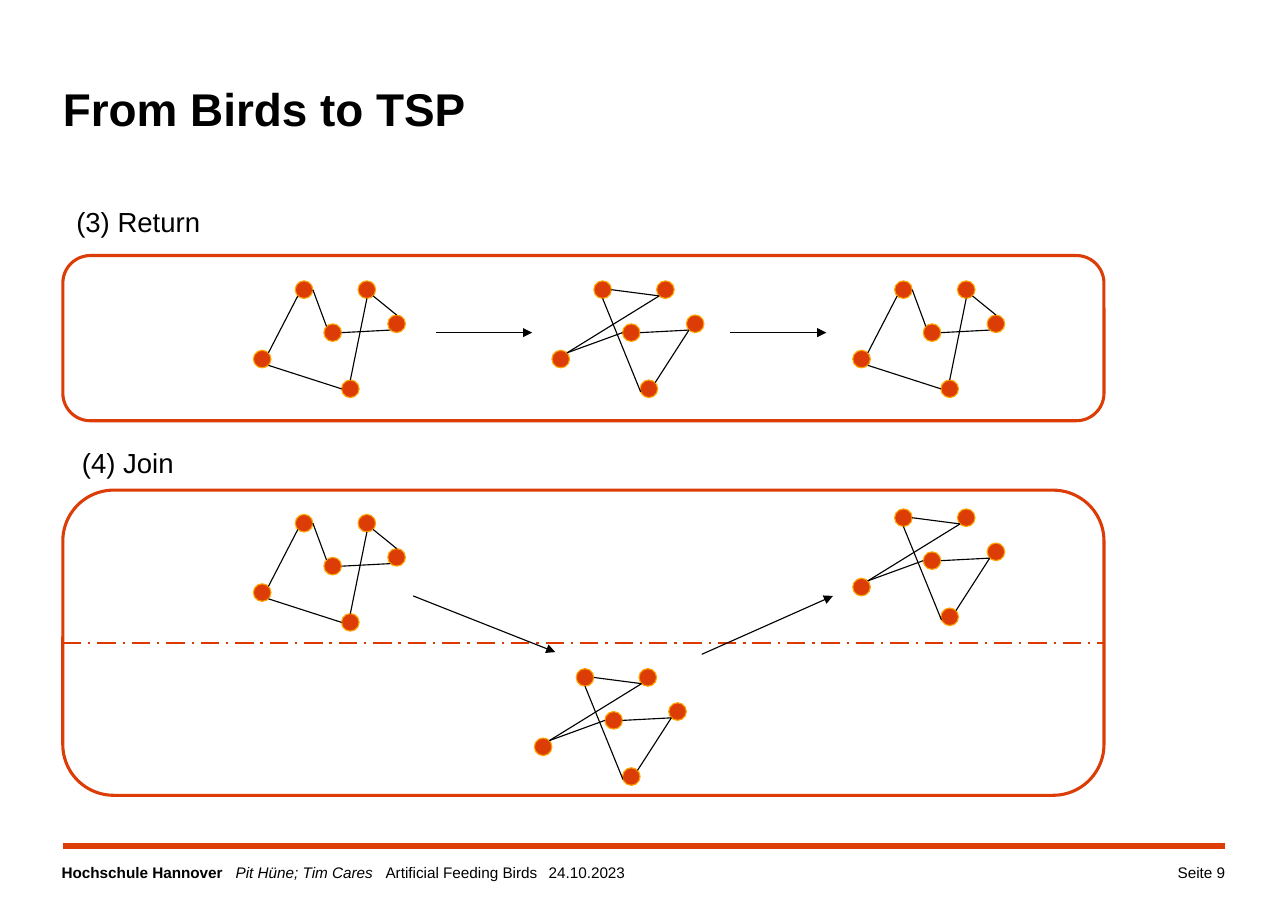
import math

import pptx
import pptx.dml.color
import pptx.enum.dml
import pptx.enum.shapes
import pptx.enum.text
import pptx.oxml
import pptx.oxml.ns
import pptx.util

SHAPES = pptx.enum.shapes.MSO_SHAPE
ALIGN = pptx.enum.text.PP_ALIGN
COLORS = {"text": "000000", "paper": "FFFFFF", "accent": "DC3C05",
          "divider": "DC3800", "city_rim": "FFA500"}
FONT = "Arial"

# The grid has ten columns and ten rows to the inch.
COLS, ROWS = 116.9, 82.7
LEFT, BOX_W, CONTENT_W = 5.7, 94.5, 105.5
CITY = 1.6

# Top left corner of each city, from the corner of its graph.
CITIES = {"A": (3.8, 0), "B": (6.4, 3.9), "C": (9.5, 0),
          "D": (0, 6.3), "E": (12.2, 3.1), "F": (8, 9)}
ANGLES = {"e": 0, "se": 45, "s": 90, "wsw": 160, "sw": 135, "w": 180,
          "nw": 225, "n": 270, "ne": 315}
START_TOUR = ["D.ne A.sw", "A.e B.nw", "B.e E.sw", "C.se E.n", "C.s F.n", "F.w D.se"]
NEW_TOUR = ["D.ne C.sw", "C.sw A.e", "F.wsw A.s", "F.ne E.sw", "B.e E.sw", "D.ne B.w"]


def rgb(name):
    return pptx.dml.color.RGBColor.from_string(COLORS[name])


def grid(units):
    return pptx.util.Inches(units / 10)


def element(tag, attributes="", children=""):
    """Make a DrawingML element."""
    return pptx.oxml.parse_xml(
        f"<a:{tag} {pptx.oxml.ns.nsdecls('a')} {attributes}>{children}</a:{tag}>")


class Deck:
    def __init__(self):
        self.prs = pptx.Presentation()
        self.prs.slide_width = grid(COLS)
        self.prs.slide_height = grid(ROWS)
        self.s = self.prs.slides.add_slide(self.prs.slide_layouts[5])

    def add_runs(self, tf, runs, size, align=ALIGN.LEFT, tabs=()):
        """Fill a frame's first paragraph with (text, bold, italic) runs."""
        tf.vertical_anchor = pptx.enum.text.MSO_ANCHOR.TOP
        p = tf.paragraphs[0]
        p.alignment = align
        if tabs:
            stops = "".join(f'<a:tab pos="{grid(t)}" algn="l"/>' for t in tabs)
            p._p.get_or_add_pPr().append(element("tabLst", children=stops))
        for text, bold, italic in runs:
            r = p.add_run()
            r.text = text
            r.font.name = FONT
            r.font.size = pptx.util.Pt(size)
            r.font.bold, r.font.italic = bold, italic
            r.font.color.rgb = rgb("text")
        return p

    def no_insets(self, tf):
        tf.margin_left = tf.margin_right = tf.margin_top = tf.margin_bottom = 0

    def title(self, text, x, y, w, h):
        sp = self.s.shapes.title
        sp.left, sp.top, sp.width, sp.height = map(grid, (x, y, w, h))
        tf = sp.text_frame
        tf.auto_size = pptx.enum.text.MSO_AUTO_SIZE.NONE
        self.no_insets(tf)
        self.add_runs(tf, [(text, True, False)], 30)

    def label(self, text, x, y, w, h):
        tf = self.s.shapes.add_textbox(*map(grid, (x, y, w, h))).text_frame
        tf.word_wrap = False
        self.add_runs(tf, [(text, False, False)], 18, ALIGN.CENTER)

    def footer(self, runs, x, y, w, h, **layout):
        tf = self.s.shapes.add_textbox(*map(grid, (x, y, w, h))).text_frame
        tf.word_wrap = True
        self.no_insets(tf)
        return self.add_runs(tf, runs, 10, **layout)

    def shape(self, kind, x, y, w, h, fill, line, width):
        sp = self.s.shapes.add_shape(kind, *map(grid, (x, y, w, h)))
        sp.shadow.inherit = False
        sp.fill.solid()
        sp.fill.fore_color.rgb = rgb(fill)
        sp.line.color.rgb = rgb(line)
        sp.line.width = pptx.util.Pt(width)

    def box(self, y, h):
        self.shape(SHAPES.ROUNDED_RECTANGLE, LEFT, y, BOX_W, h, "paper", "accent", 2)

    def line(self, start, end, color="text", width=0.75, dash=None, arrow=False):
        c = self.s.shapes.add_connector(
            pptx.enum.shapes.MSO_CONNECTOR.STRAIGHT, *map(grid, (*start, *end)))
        c.line.color.rgb = rgb(color)
        c.line.width = pptx.util.Pt(width)
        if dash:
            c.line.dash_style = dash
        props = c._element.spPr
        if arrow:
            props.find(pptx.oxml.ns.qn("a:ln")).append(
                element("tailEnd", 'type="triangle"'))
        props.append(element("effectLst"))

    def graph(self, x, y, tour):
        """Draw the six cities and the tour's edges between points on their rims."""
        def rim(site):
            city, side = site.split(".")
            angle = math.radians(ANGLES[side])
            dx, dy = CITIES[city]
            return (x + dx + CITY / 2 * (1 + math.cos(angle)),
                    y + dy + CITY / 2 * (1 + math.sin(angle)))

        for dx, dy in CITIES.values():
            self.shape(SHAPES.OVAL, x + dx, y + dy, CITY, CITY, "accent", "city_rim", 0.75)
        for edge in tour:
            self.line(*map(rim, edge.split()))


def main():
    deck = Deck()
    deck.footer([("Hochschule Hannover", True, False),
                 ("\tPit Hüne; Tim Cares", False, True),
                 ("\tArtificial Feeding Birds\t24.10.2023", False, False)],
                5.6, 78.4, 84.4, 2.4, tabs=(15.8, 29.4, 44.2))
    deck.line((LEFT, 76.8), (LEFT + CONTENT_W, 76.8), "accent", 4)
    deck.title("From Birds to TSP", LEFT, 7.3, CONTENT_W, 10.4)
    page = deck.footer([("Seite 9", False, False)], 97.8, 78.4, 13.4, 2.5,
                       align=ALIGN.RIGHT)
    page.space_after = pptx.util.Pt(6)

    deck.label("(3) Return", LEFT, 18.1, 13.7, 4)
    deck.box(23.2, 15)
    for x, tour in ((23, START_TOUR), (50.1, NEW_TOUR), (77.4, START_TOUR)):
        deck.graph(x, 25.5, tour)
    for x in (39.6, 66.3):
        deck.line((x, 30.2), (x + 8.7, 30.2), arrow=True)

    deck.label("(4) Join", LEFT, 40, 11.8, 4)
    deck.box(44.5, 27.7)
    for x, y, tour in ((23, 46.7, START_TOUR), (48.5, 60.7, NEW_TOUR),
                       (77.4, 46.2, NEW_TOUR)):
        deck.graph(x, y, tour)
    deck.line((LEFT, 58.4), (LEFT + BOX_W, 58.4), "divider", 1.5,
              pptx.enum.dml.MSO_LINE.LONG_DASH_DOT)
    deck.line((37.5, 54.1), (50.4, 59.2), arrow=True)
    deck.line((63.7, 59.4), (75.6, 54.1), arrow=True)

    deck.prs.save("out.pptx")


if __name__ == "__main__":
    main()
